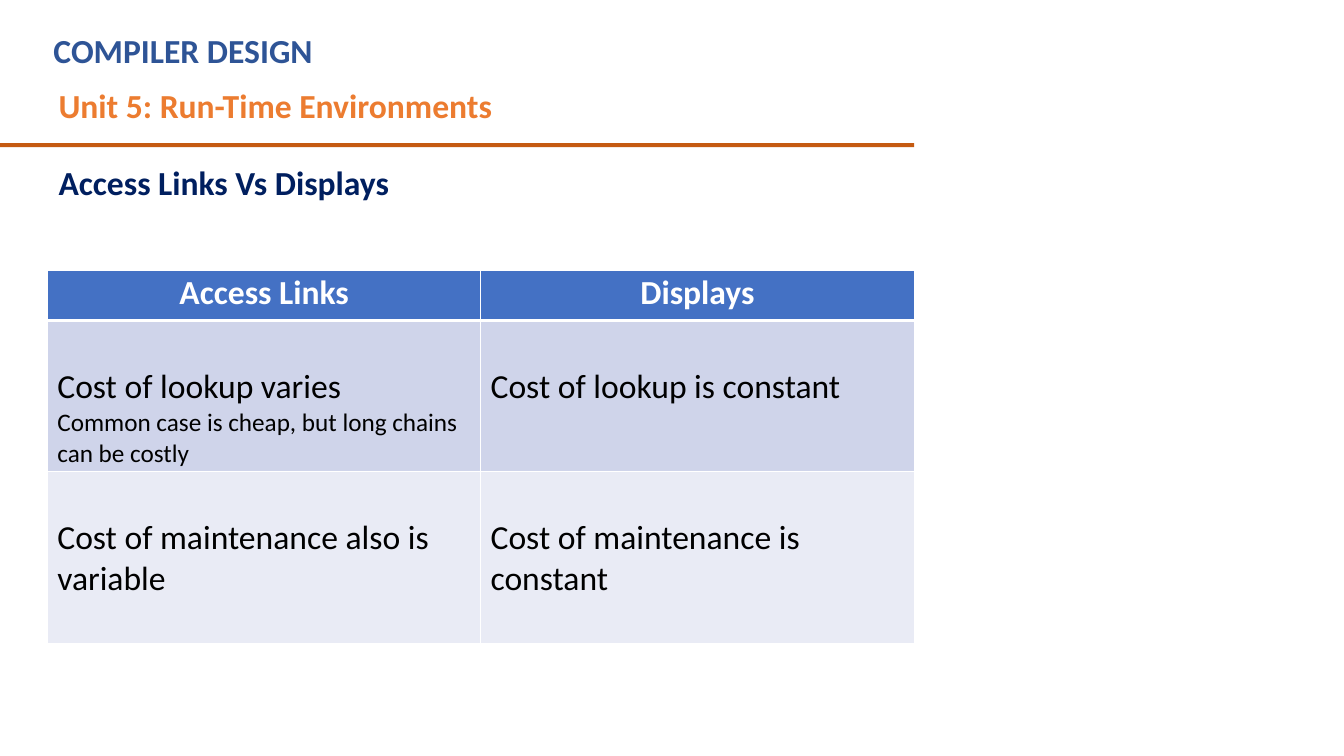
from dataclasses import dataclass

from lxml import etree
from pptx import Presentation
from pptx.dml.color import RGBColor as RGB
from pptx.enum.shapes import MSO_SHAPE as SHAPE
from pptx.enum.text import MSO_ANCHOR as ANCHOR, PP_ALIGN as ALIGN
from pptx.oxml.ns import qn
from pptx.util import Pt


@dataclass(frozen=True)
class Theme:
    """Colours, font and type sizes of the slide."""
    font: str = "Calibri"
    main: float = 24
    detail: float = 18
    course: str = "2E5496"
    unit: str = "EC7C30"
    topic: str = "001F5F"
    rule: str = "C55A11"
    header: str = "4471C4"
    bands: tuple = ("CFD4EA", "E9EBF5")
    white: str = "FFFFFF"
    black: str = "000000"


T = Theme()
ROWS = [
    (["Cost of lookup varies", "Common case is cheap, but long chains  can be costly"],
     ["Cost of lookup is constant"]),
    (["Cost of maintenance also is  variable"],
     ["Cost of maintenance is  constant"]),
]


def write(p, text, color, size=T.main, bold=False):
    """Put formatted text in a paragraph."""
    p.text = text
    for r in p.runs:
        r.font.name, r.font.size, r.font.bold = T.font, Pt(size), bold
        r.font.color.rgb = RGB.from_string(color)


def set_margins(frame, left=0, top=0):
    """Set the left and top insets and clear the other two."""
    frame.margin_left, frame.margin_top = Pt(left), Pt(top)
    frame.margin_right = frame.margin_bottom = 0


def add_heading(s, x, y, w, h):
    """Add the course, unit and topic lines."""
    tf = s.shapes.add_textbox(Pt(x), Pt(y), Pt(w), Pt(h)).text_frame
    tf.word_wrap = True
    set_margins(tf, top=10.8)
    lines = [("COMPILER DESIGN", T.course, 0.7, 0),
             ("Unit 5: Run-Time Environments", T.unit, 4.3, 10.2),
             ("Access Links Vs Displays", T.topic, 4.3, 26.4)]
    for i, (text, color, indent, gap) in enumerate(lines):
        p = tf.add_paragraph() if i else tf.paragraphs[0]
        write(p, text, color, bold=True)
        p.space_before = Pt(gap)
        p._p.get_or_add_pPr().set("marL", str(Pt(indent)))


def add_rule(s, x, y, w, h):
    """Add the solid bar under the unit line."""
    sp = s.shapes.add_shape(SHAPE.RECTANGLE, Pt(x), Pt(y), Pt(w), Pt(h))
    sp.shadow.inherit = False
    sp.fill.solid()
    sp.fill.fore_color.rgb = RGB.from_string(T.rule)
    sp.line.fill.background()


def style_cell(cell, fill, top, bottom):
    """Fill a cell and draw its white borders."""
    cell.fill.solid()
    cell.fill.fore_color.rgb = RGB.from_string(fill)
    tcPr = cell._tc.get_or_add_tcPr()
    for i, (side, width) in enumerate(zip("LRTB", (1, 1, top, bottom))):
        ln = etree.Element(qn(f"a:ln{side}"), w=str(Pt(width)))
        solid = etree.SubElement(ln, qn("a:solidFill"))
        etree.SubElement(solid, qn("a:srgbClr"), val=T.white)
        tcPr.insert(i, ln)


def add_comparison(s, x, y, w, heights):
    """Add the table that compares access links with displays."""
    shape = s.shapes.add_table(len(heights), 2, Pt(x), Pt(y), Pt(w), Pt(sum(heights)))
    table = shape.table
    for col in table.columns:
        col.width = Pt(w / 2)
    for row, height in zip(table.rows, heights):
        row.height = Pt(height)
    for c, title in enumerate(("Access Links", "Displays")):
        cell = table.cell(0, c)
        style_cell(cell, T.header, 1, 3)
        set_margins(cell, top=2)
        p = cell.text_frame.paragraphs[0]
        write(p, title, T.white, bold=True)
        p.alignment = ALIGN.CENTER
    for r, (texts, band) in enumerate(zip(ROWS, T.bands), 1):
        for c, lines in enumerate(texts):
            cell = table.cell(r, c)
            style_cell(cell, band, 3 if r == 1 else 1, 1)
            set_margins(cell, left=7, top=33)
            cell.vertical_anchor = ANCHOR.TOP
            tf = cell.text_frame
            for i, line in enumerate(lines):
                p = tf.add_paragraph() if i else tf.paragraphs[0]
                write(p, line, T.black, T.detail if i else T.main)


def main():
    """Build and save the slide."""
    prs = Presentation()
    prs.slide_width, prs.slide_height = Pt(960), Pt(540)
    s = prs.slides.add_slide(prs.slide_layouts[6])
    add_rule(s, 0, 102.2, 653, 3)
    add_heading(s, 37.5, 10.8, 317, 135)
    add_comparison(s, 34, 193, 619, (36, 108, 122.5))
    prs.save("out.pptx")


if __name__ == "__main__":
    main()
